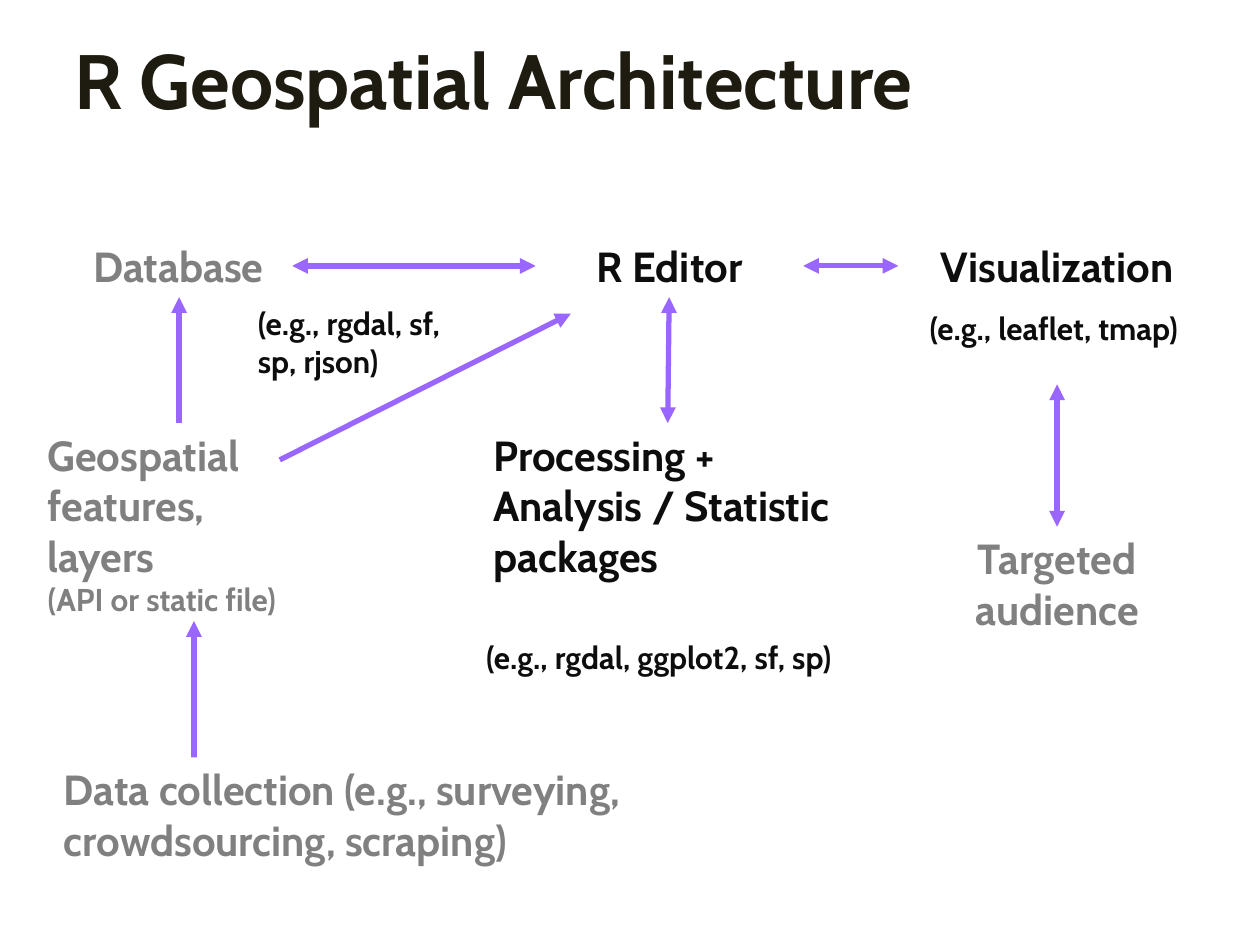
from lxml.etree import SubElement
from pptx import Presentation
from pptx.dml.color import RGBColor
from pptx.enum.shapes import MSO_CONNECTOR, MSO_SHAPE
from pptx.enum.text import MSO_ANCHOR, PP_ALIGN
from pptx.oxml.ns import qn
from pptx.util import Cm, Pt

FONT = "Cabin"
TITLE, GREY, BLACK, WHITE, PURPLE = "1E1C11", "808080", "0D0D0D", "FFFFFF", "9966FF"
LEFT, CENTER = PP_ALIGN.LEFT, PP_ALIGN.CENTER
STRAIGHT, ELBOW = MSO_CONNECTOR.STRAIGHT, MSO_CONNECTOR.ELBOW
TOP_ROW, MIDDLE_ROW, ROW_HEIGHT = 4.72, 8.53, 1.27
TOP_AXIS, TOP_ROW_END = 5.36, 5.99

STAGES = [
    ("Database", (1.3, TOP_ROW, 4.6, ROW_HEIGHT), GREY, CENTER),
    ("R Editor", (10.8, TOP_ROW, 5.4, ROW_HEIGHT), BLACK, CENTER),
    ("Visualization", (18.11, TOP_ROW, 6.4, ROW_HEIGHT), BLACK, CENTER),
    ("Processing + Analysis / Statistic packages", (9.7, MIDDLE_ROW, 7.52, 4.37), BLACK, LEFT),
    ("Targeted audience", (18.11, 10.62, 6.4, 2.31), GREY, CENTER),
    ("Data collection (e.g., surveying, crowdsourcing, scraping)",
     (1.04, 15.27, 15.04, 2.31), GREY, LEFT),
]
NOTES = [
    ([("Geospatial features, layers", 24), ("(API or static file)", 18)],
     (0.71, MIDDLE_ROW, 5.79, 4.19), GREY, True),
    ([("(e.g., leaflet, tmap)", 18)], (18.49, 6.1, 6.25, 1.02), BLACK, False),
    ([("(e.g., rgdal, ggplot2, sf, sp)", 18)], (9.55, 12.73, 8.61, 1.02), BLACK, False),
    ([("(e.g., rgdal, sf, sp, rjson)", 18)], (4.95, 6, 4.6, 1.8), BLACK, True),
]
ARROWS = [
    ((3.91, 15.93), (3.91, 12.52), STRAIGHT, False),
    ((3.61, MIDDLE_ROW), (3.61, TOP_ROW_END), STRAIGHT, False),
    ((5.64, 9.27), (11.51, 6.32), STRAIGHT, False),
    ((5.89, TOP_AXIS), (10.8, TOP_AXIS), STRAIGHT, True),
    ((13.46, MIDDLE_ROW), (13.49, TOP_ROW_END), STRAIGHT, True),
    ((21.31, 10.62), (21.31, 7.75), STRAIGHT, True),
    ((16.19, TOP_AXIS), (18.11, TOP_AXIS), ELBOW, True),
]


def color(value):
    return RGBColor.from_string(value)


def write(box, lines, fill, align=LEFT, anchor=MSO_ANCHOR.TOP, wrap=True):
    frame = box.text_frame
    frame.word_wrap = wrap
    frame.vertical_anchor = anchor
    for index, (text, size) in enumerate(lines):
        para = frame.add_paragraph() if index else frame.paragraphs[0]
        para.alignment = align
        span = para.add_run()
        span.text = text
        span.font.name = FONT
        span.font.size = Pt(size)
        span.font.bold = True
        span.font.color.rgb = color(fill)


def add_arrow(page, start, end, kind, both_ways):
    arrow = page.shapes.add_connector(kind, *map(Cm, start + end))
    arrow.line.color.rgb = color(PURPLE)
    arrow.line.width = Pt(3)
    line = arrow.line._get_or_add_ln()
    for tag in ("a:headEnd", "a:tailEnd") if both_ways else ("a:tailEnd",):
        SubElement(line, qn(tag), type="triangle")
    SubElement(arrow._element.spPr, qn("a:effectLst"))


def add_stage(page, text, place, fill, align):
    box = page.shapes.add_shape(MSO_SHAPE.RECTANGLE, *map(Cm, place))
    box.shadow.inherit = False
    box.fill.solid()
    box.fill.fore_color.rgb = color(WHITE)
    box.line.fill.background()
    write(box, [(text, 24)], fill, align=align)


def main():
    deck = Presentation()
    deck.slide_width, deck.slide_height = Cm(25.4), Cm(19.05)
    page = deck.slides.add_slide(deck.slide_layouts[5])
    title = page.shapes.title
    title.left, title.top, title.width, title.height = map(Cm, (1.24, 0, 22.86, 3.18))
    write(title, [("R Geospatial Architecture", 44)], TITLE, anchor=MSO_ANCHOR.MIDDLE)
    for arrow in ARROWS:
        add_arrow(page, *arrow)
    for stage in STAGES:
        add_stage(page, *stage)
    for lines, place, fill, wrap in NOTES:
        write(page.shapes.add_textbox(*map(Cm, place)), lines, fill, wrap=wrap)
    deck.save("out.pptx")


if __name__ == "__main__":
    main()
